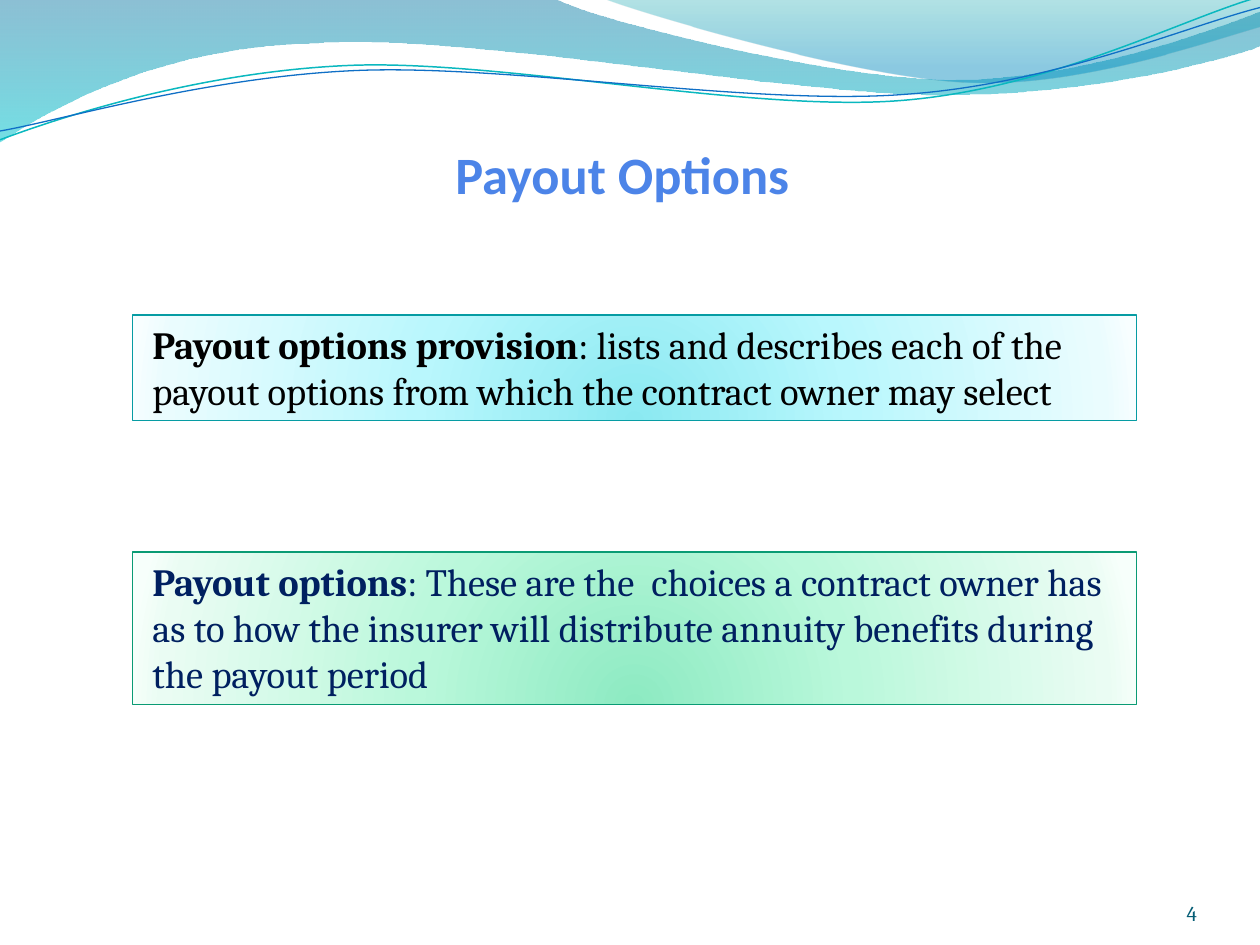
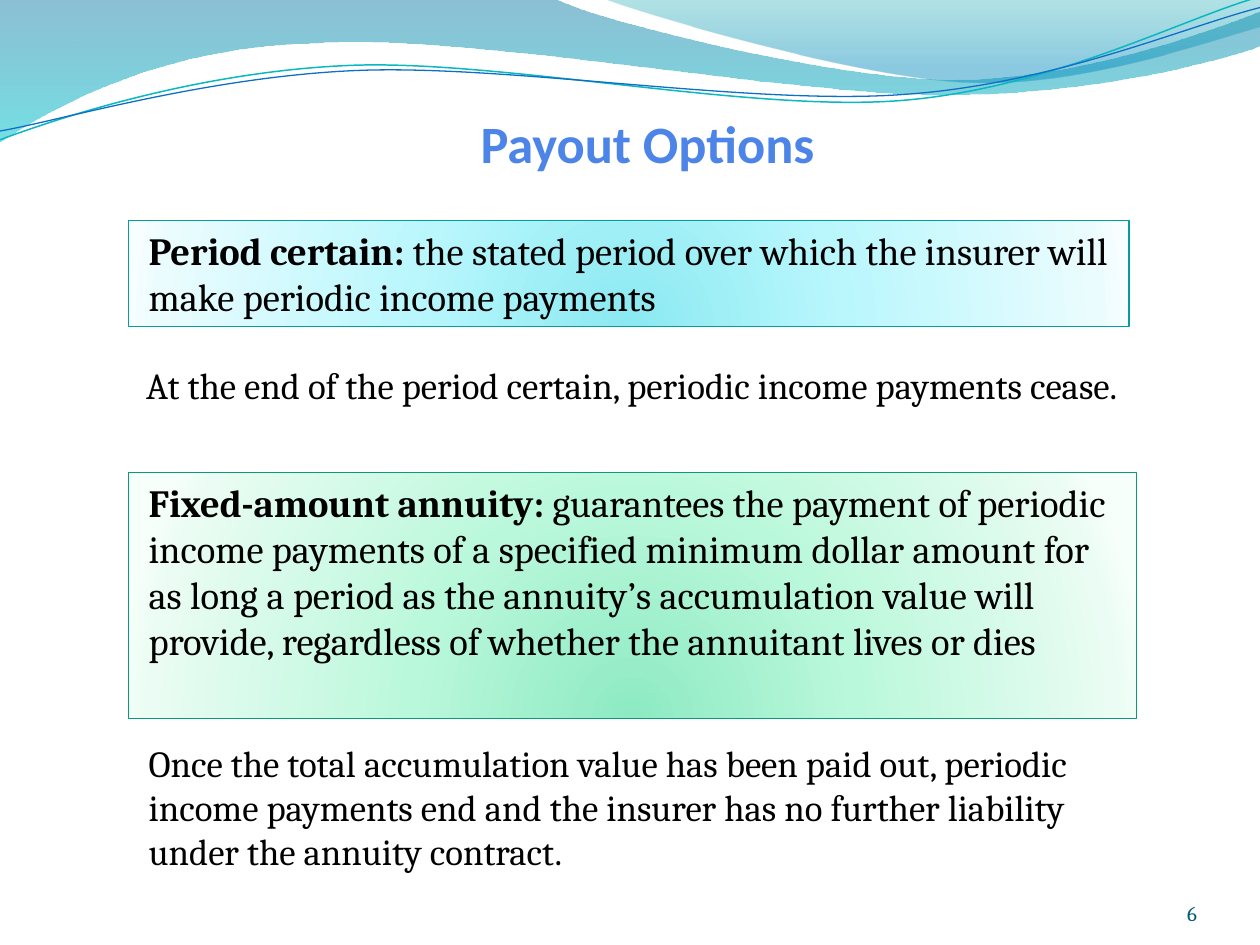
from lxml import etree
from pptx import Presentation
from pptx.dml.color import RGBColor
from pptx.enum import shapes, text
from pptx.oxml import ns
from pptx.util import Inches, Pt

COLORS = {
    "title": "4C84E8", "number": "045D75", "black": "000000", "navy": "002060",
    "teal_line": "0AB8BF", "blue_line": "0F6FC6",
    "aqua_border": "069CA3", "mint_border": "0A9B74",
}
GRADIENTS = {
    "wave": [(0, "0074A1", 45), (100, "00C6CF", 55)],
    "crest": [(0, "00A1A9", 30), (80, "008BBF", 45)],
    "aqua": [(0, "8BE9F1", 100), (43, "B9F7FD", 100), (93, "EAFCFE", 100), (100, "F8FEFF", 100)],
    "mint": [(0, "8DEAC2", 100), (43, "BAF8DB", 100), (93, "EAFCF3", 100), (100, "F7FFFB", 100)],
}
TITLE_FONT, BODY_FONT = "Calibri", "Cambria"
TITLE_SIZE = (8.62, 0.42)
NUMBER_BOX = (8.67, 6.95, 0.83, 0.4)
FIRST_DECOR_ID = 20

BANDS = [
    ("wave", [
        [(0, 0)], [(4.4, -0.01)],
        [(4.76, 0.17), (6.64, 0.63), (7.58, 0.63)],
        [(8.53, 0.63), (9.58, 0.26), (10, 0.09)],
        [(10.01, 0.36)],
        [(9.83, 0.44), (8.7, 0.76), (7.46, 0.75)],
        [(6.22, 0.75), (3.82, 0.28), (2.57, 0.34)],
        [(1.29, 0.36), (0.46, 0.83), (-0.01, 1.13)],
        [(0, 0)],
    ]),
    ("crest", [
        [(4.79, -0.01)],
        [(5.09, 0.11), (6.82, 0.62), (7.69, 0.65)],
        [(8.56, 0.69), (9.61, 0.32), (10, 0.21)],
        [(10, 0)], [(4.79, -0.01)],
    ]),
]
RIPPLES = [
    ("teal_line", 0.85, [
        [(0, 1.11)],
        [(0.48, 0.93), (1.58, 0.57), (2.77, 0.52)],
        [(3.95, 0.47), (5.93, 0.89), (7.13, 0.8)],
        [(8.33, 0.71), (9.38, 0.15), (9.98, -0.02)],
    ]),
    ("blue_line", 0.75, [
        [(0, 1.04)],
        [(0.47, 0.96), (1.64, 0.61), (2.83, 0.56)],
        [(4.03, 0.51), (5.97, 0.84), (7.17, 0.75)],
        [(8.36, 0.67), (9.41, 0.21), (10, 0.06)],
    ]),
]

SLIDES = [
    {
        "title": "Payout Options", "title_at": (0.63, 1.17), "number": "4",
        "definitions": [
            ("aqua", "black", (1.05, 2.5, 7.97, 0.84), "Payout options provision",
             ": lists and describes each of the payout options from which the contract owner may select"),
            ("mint", "navy", (1.05, 4.38, 7.97, 1.21), "Payout options",
             ": These are the  choices a contract owner has as to how the insurer will "
             "distribute annuity benefits during the payout period"),
        ],
        "remarks": [],
    },
    {
        "title": "Payout Options", "title_at": (0.83, 0.92), "number": "6",
        "definitions": [
            ("aqua", "black", (1.02, 1.75, 7.94, 0.84), "Period certain: ",
             "the stated period over which the insurer will make periodic income payments"),
            ("mint", "black", (1.02, 3.75, 8, 1.95), "Fixed-amount annuity: ",
             "guarantees the payment of periodic income payments of a specified minimum "
             "dollar amount for as long a period as the annuity’s accumulation value will "
             "provide, regardless of whether the annuitant lives or dies"),
        ],
        "remarks": [
            ((1, 2.83, 7.98, 0.81),
             "At the end of the period certain, periodic income payments cease."),
            ((1.02, 5.83, 7.98, 1.16),
             "Once the total accumulation value has been paid out, periodic income payments "
             "end and the insurer has no further liability under the annuity contract."),
        ],
    },
]


def rgb(name):
    return RGBColor.from_string(COLORS[name])


def inches(values):
    return [Inches(value) for value in values]


def fill_gradient(shape, name, radial=False):
    shape.fill.solid()
    solid = shape.element.spPr.find(ns.qn("a:solidFill"))
    gradient = etree.Element(ns.qn("a:gradFill"), rotWithShape="1")
    stops = etree.SubElement(gradient, ns.qn("a:gsLst"))
    for position, color, alpha in GRADIENTS[name]:
        stop = etree.SubElement(stops, ns.qn("a:gs"), pos=str(position * 1000))
        tint = etree.SubElement(stop, ns.qn("a:srgbClr"), val=color)
        if alpha < 100:
            etree.SubElement(tint, ns.qn("a:alpha"), val=str(alpha * 1000))
    if radial:
        focus = etree.SubElement(gradient, ns.qn("a:path"), {"path": "circle"})
        etree.SubElement(focus, ns.qn("a:fillToRect"), l="50000", t="130000", r="50000", b="-30000")
    else:
        etree.SubElement(gradient, ns.qn("a:lin"), ang="5400000", scaled="0")
    solid.getparent().replace(solid, gradient)


def draw_outline(slide, segments, closed):
    start, *anchors = [tuple(inches(segment[-1])) for segment in segments]
    builder = slide.shapes.build_freeform(*start)
    builder.add_line_segments(anchors, close=closed)
    outline = builder.convert_to_shape()
    outline.shadow.inherit = False
    straights = list(outline.element.iter(ns.qn("a:lnTo")))
    for straight, segment in zip(straights, segments[1:]):
        if len(segment) == 3:
            curve = etree.Element(ns.qn("a:cubicBezTo"))
            for x, y in segment:
                etree.SubElement(curve, ns.qn("a:pt"), x=str(Inches(x) - outline.left),
                                 y=str(Inches(y) - outline.top))
            straight.getparent().replace(straight, curve)
    return outline


def decorate_master(master, slide):
    decor = []
    for gradient, segments in BANDS:
        band = draw_outline(slide, segments, True)
        fill_gradient(band, gradient)
        band.line.fill.background()
        decor.append(band.element)
    for color, width, segments in RIPPLES:
        ripple = draw_outline(slide, segments, False)
        ripple.fill.background()
        ripple.line.color.rgb = rgb(color)
        ripple.line.width = Pt(width)
        decor.append(ripple.element)
    first_placeholder = master.placeholders[0].element
    for decor_id, element in enumerate(decor, FIRST_DECOR_ID):
        next(element.iter(ns.qn("p:cNvPr"))).set("id", str(decor_id))
        first_placeholder.addprevious(element)


def style(paragraph, font_name, size, color, align, bold=None):
    paragraph.alignment = align
    font = paragraph.font
    font.name, font.size, font.bold = font_name, Pt(size), bold
    font.color.rgb = rgb(color)


def write_body(shape, parts, size, color):
    frame = shape.text_frame
    frame.word_wrap = True
    frame.vertical_anchor = text.MSO_ANCHOR.TOP
    frame.margin_left = Inches(0.16)
    paragraph = frame.paragraphs[0]
    style(paragraph, BODY_FONT, size, color, text.PP_ALIGN.LEFT)
    for words, bold in parts:
        run = paragraph.add_run()
        run.text = words
        if bold:
            run.font.bold = True


def add_title(slide, words, corner):
    title = slide.shapes.title
    title.left, title.top, title.width, title.height = inches(corner + TITLE_SIZE)
    title.text = words
    title.text_frame.auto_size = text.MSO_AUTO_SIZE.NONE
    title.text_frame.vertical_anchor = text.MSO_ANCHOR.MIDDLE
    style(title.text_frame.paragraphs[0], TITLE_FONT, 30, "title", text.PP_ALIGN.CENTER, True)


def add_definition(slide, theme, color, box, term, meaning):
    panel = slide.shapes.add_shape(shapes.MSO_SHAPE.RECTANGLE, *inches(box))
    panel.shadow.inherit = False
    fill_gradient(panel, theme, radial=True)
    panel.line.color.rgb = rgb(theme + "_border")
    panel.line.width = Pt(0.75)
    write_body(panel, [(term, True), (meaning, False)], 22, color)


def add_number(slide, number):
    frame = slide.shapes.add_textbox(*inches(NUMBER_BOX)).text_frame
    frame.margin_left = frame.margin_right = frame.margin_top = frame.margin_bottom = 0
    frame.word_wrap = True
    frame.vertical_anchor = text.MSO_ANCHOR.BOTTOM
    frame.text = number
    style(frame.paragraphs[0], BODY_FONT, 12, "number", text.PP_ALIGN.RIGHT)


def main():
    deck = Presentation()
    deck.slide_width, deck.slide_height = Inches(10), Inches(7.5)
    title_only = deck.slide_layouts[5]
    for index, content in enumerate(SLIDES):
        slide = deck.slides.add_slide(title_only)
        if index == 0:
            decorate_master(deck.slide_master, slide)
        add_title(slide, content["title"], content["title_at"])
        for definition in content["definitions"]:
            add_definition(slide, *definition)
        for box, remark in content["remarks"]:
            write_body(slide.shapes.add_textbox(*inches(box)), [(remark, False)], 21, "black")
        add_number(slide, content["number"])
    deck.save("out.pptx")


if __name__ == "__main__":
    main()
